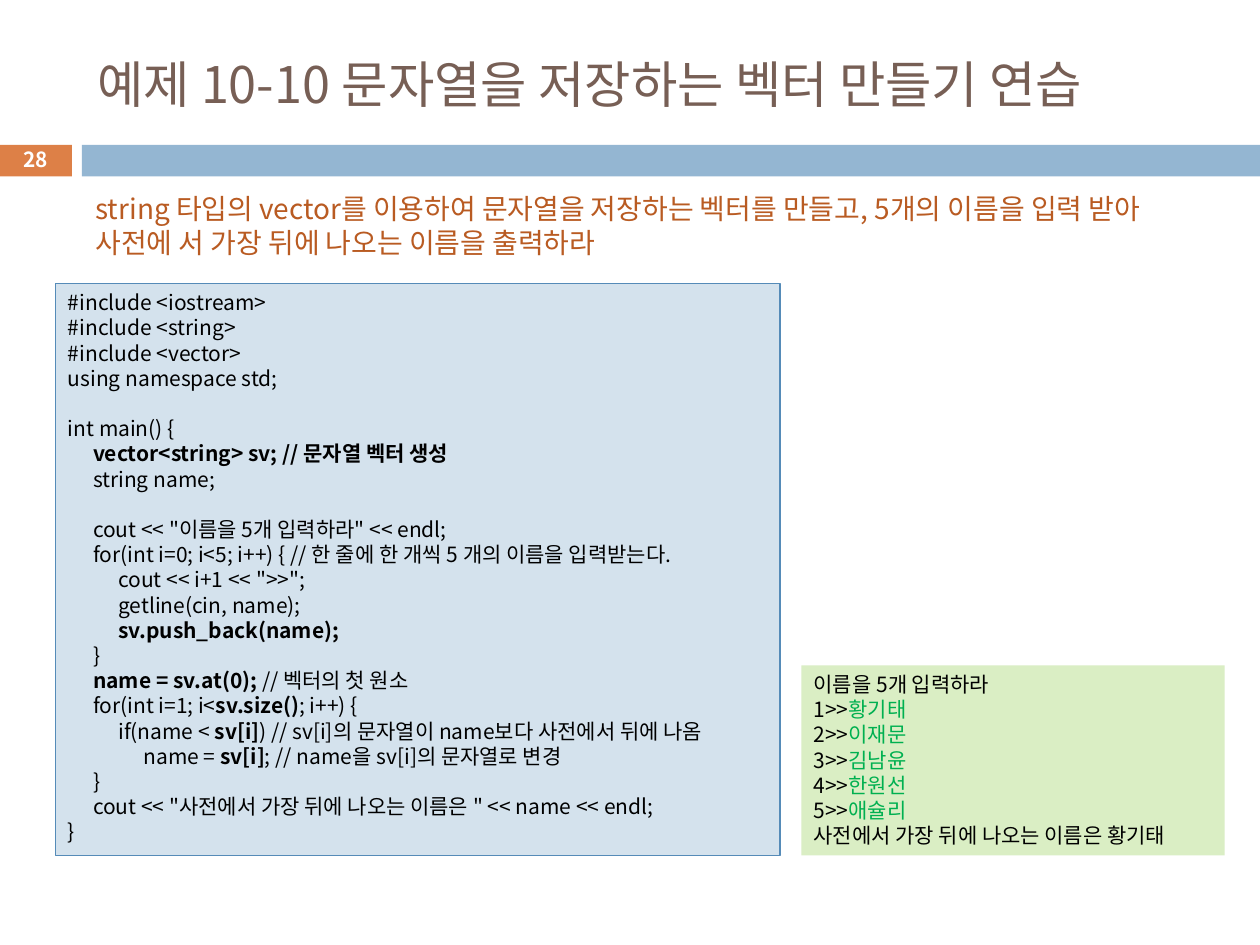
from dataclasses import dataclass
from typing import Optional

from lxml import etree
from pptx import Presentation
from pptx import util as u
from pptx.dml.color import RGBColor
from pptx.enum import shapes, text
from pptx.oxml import ns

FONT = "Noto Sans CJK KR"
BLACK = RGBColor(0x00, 0x00, 0x00)
WHITE = RGBColor(0xFF, 0xFF, 0xFF)
BROWN = RGBColor(0x77, 0x5F, 0x55)
ORANGE = RGBColor(0xDD, 0x80, 0x47)
RUST = RGBColor(0xB9, 0x5B, 0x22)
BLUE = RGBColor(0x94, 0xB6, 0xD2)
PALE_BLUE = RGBColor(0xD4, 0xE2, 0xED)
EDGE_BLUE = RGBColor(0x55, 0x8B, 0xB8)
PALE_GREEN = RGBColor(0xDA, 0xEE, 0xC4)
GREEN = RGBColor(0x00, 0xB0, 0x50)

MARK = "**"
TAB_STEP = 0.2
TAB_COUNT = 3

TITLE = "예제 10-10 문자열을 저장하는 벡터 만들기 연습"
TASK = ("string 타입의 vector를 이용하여 문자열을 저장하는 벡터를 만들고, "
        "5개의 이름을 입력 받아 사전에 서 가장 뒤에 나오는 이름을 출력하라")
CODE = """#include <iostream>
#include <string>
#include <vector>
using namespace std;

int main() {
\t**vector<string> sv; // 문자열 벡터 생성**
\tstring name;

\tcout << "이름을 5개 입력하라" << endl;
\tfor(int i=0; i<5; i++) { // 한 줄에 한 개씩 5 개의 이름을 입력받는다.
\t\tcout << i+1 << ">>";
\t\tgetline(cin, name);
\t\t**sv.push_back(name);**
\t}
\t**name = sv.at(0); **// 벡터의 첫 원소
\tfor(int i=1; i<**sv.size()**; i++) {
\t\tif(name < **sv[i]**) // sv[i]의 문자열이 name보다 사전에서 뒤에 나옴
\t\t\tname = **sv[i]**; // name을 sv[i]의 문자열로 변경
\t}
\tcout << "사전에서 가장 뒤에 나오는 이름은 " << name << endl;
}"""
NAMES = ["황기태", "이재문", "김남윤", "한원선", "애슐리"]
OUTPUT = "\n".join(
    ["이름을 5개 입력하라"]
    + [f"{i}>>{MARK}{name}{MARK}" for i, name in enumerate(NAMES, 1)]
    + ["사전에서 가장 뒤에 나오는 이름은 황기태"])


@dataclass
class Box:
    left: float
    top: float
    width: float
    height: float
    fill: Optional[RGBColor] = None
    line: Optional[RGBColor] = None

    def lengths(self) -> tuple:
        return tuple(u.Inches(v) for v in (self.left, self.top, self.width, self.height))


@dataclass
class Style:
    size: float
    color: RGBColor
    spacing: Optional[float] = None
    align: text.PP_ALIGN = text.PP_ALIGN.LEFT
    anchor: text.MSO_ANCHOR = text.MSO_ANCHOR.TOP
    bold: bool = False
    tabs: bool = False
    mark_color: Optional[RGBColor] = None


def add_rect(s, box: Box):
    sp = s.shapes.add_shape(shapes.MSO_SHAPE.RECTANGLE, *box.lengths())
    sp.shadow.inherit = False
    sp.fill.solid()
    sp.fill.fore_color.rgb = box.fill
    if box.line is None:
        sp.line.fill.background()
    else:
        sp.line.color.rgb = box.line
        sp.line.width = u.Pt(0.75)
    return sp


def add_tabs(p) -> None:
    tabs = etree.SubElement(p._p.get_or_add_pPr(), ns.qn("a:tabLst"))
    for i in range(1, TAB_COUNT + 1):
        etree.SubElement(tabs, ns.qn("a:tab"), pos=str(u.Inches(TAB_STEP * i)), algn="l")


def format_paragraph(p, style: Style) -> None:
    p.alignment = style.align
    if style.tabs:
        add_tabs(p)
    if style.spacing:
        p.line_spacing = u.Pt(style.spacing)
    p.font.size = u.Pt(style.size)
    p.font.name = FONT
    p.font.color.rgb = style.color
    p.font.bold = style.bold
    defaults = p._p.pPr.find(ns.qn("a:defRPr"))
    etree.SubElement(defaults, ns.qn("a:ea"), typeface=FONT)


def write(sp, content: str, style: Style) -> None:
    tf = sp.text_frame
    tf.word_wrap = True
    tf.auto_size = text.MSO_AUTO_SIZE.NONE
    tf.vertical_anchor = style.anchor
    for n, line in enumerate(content.split("\n")):
        p = tf.add_paragraph() if n else tf.paragraphs[0]
        format_paragraph(p, style)
        for i, part in enumerate(line.split(MARK)):
            if not part:
                continue
            r = p.add_run()
            r.text = part
            if sp.shape_type == shapes.MSO_SHAPE_TYPE.AUTO_SHAPE:
                r.font.color.rgb = style.color
            if i % 2 and style.mark_color:
                r.font.color.rgb = style.mark_color
            elif i % 2:
                r.font.bold = True


def main() -> None:
    prs = Presentation()
    prs.slide_width, prs.slide_height = u.Inches(10), u.Inches(7.5)
    s = prs.slides.add_slide(prs.slide_layouts[5])

    middle = text.MSO_ANCHOR.MIDDLE
    add_rect(s, Box(-0.01, 1.15, 0.58, 0.25, ORANGE))
    add_rect(s, Box(0.65, 1.15, 9.35, 0.25, BLUE))

    title = s.shapes.title
    title.left, title.top, title.width, title.height = Box(0.67, 0.25, 8.92, 0.82).lengths()
    write(title, TITLE, Style(28.8, BROWN, anchor=middle))

    number = s.shapes.add_textbox(*Box(-0.01, 1.13, 0.58, 0.27).lengths())
    write(number, "28", Style(11.9, WHITE, align=text.PP_ALIGN.CENTER, anchor=middle, bold=True))

    code = add_rect(s, Box(0.44, 2.25, 5.75, 4.54, PALE_BLUE, EDGE_BLUE))
    write(code, CODE, Style(12, BLACK, spacing=14.4, tabs=True))

    output = add_rect(s, Box(6.36, 5.28, 3.36, 1.51, PALE_GREEN))
    write(output, OUTPUT, Style(12, BLACK, spacing=14.4, mark_color=GREEN))

    task = s.shapes.add_textbox(*Box(0.66, 1.47, 8.59, 0.64).lengths())
    write(task, TASK, Style(16, RUST, spacing=19.4))

    prs.save("out.pptx")


if __name__ == "__main__":
    main()
